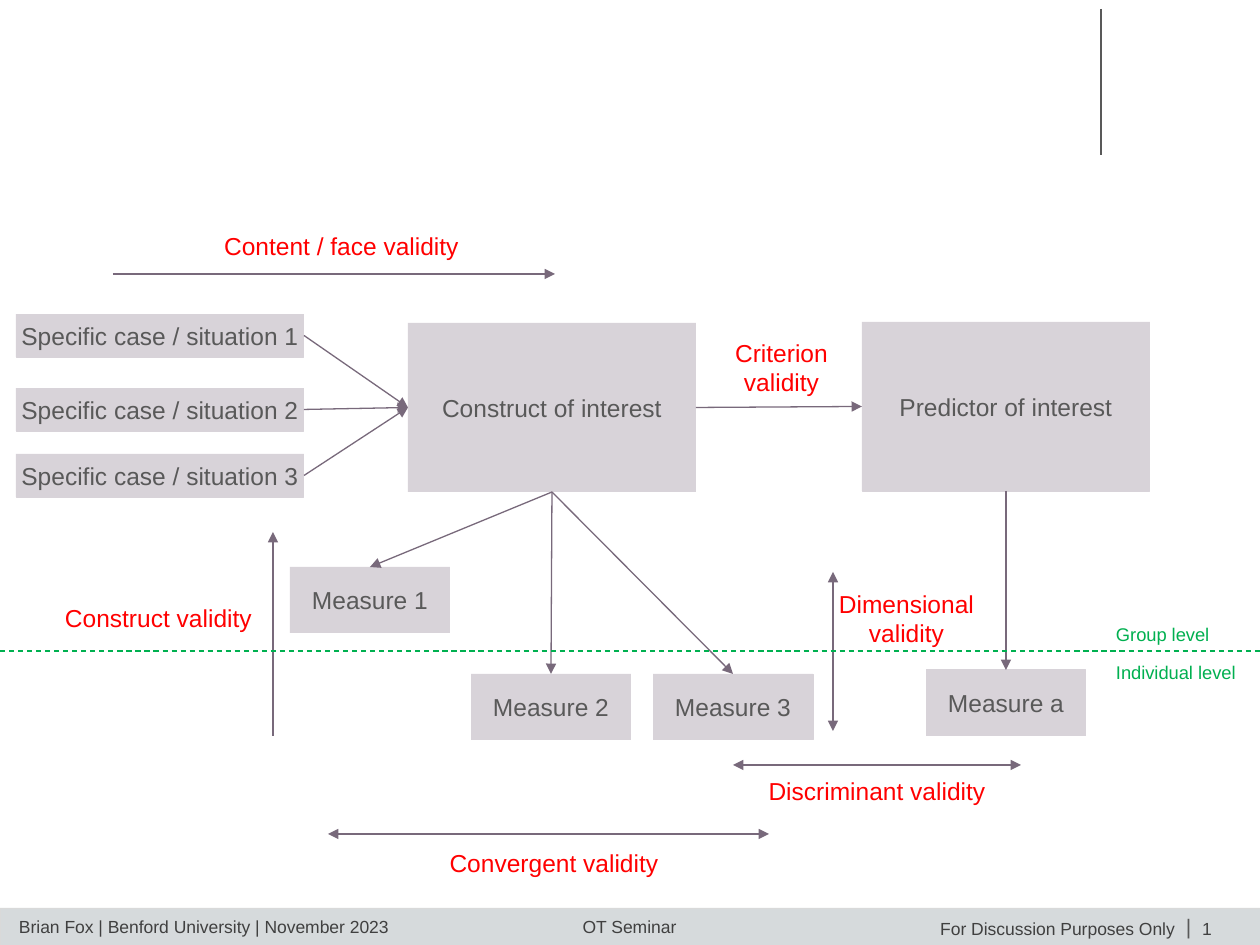
from dataclasses import dataclass
from lxml.etree import SubElement
from pptx import Presentation
from pptx.dml.color import RGBColor as RGB
from pptx.enum.dml import MSO_LINE as Dash
from pptx.enum.shapes import MSO_CONNECTOR as Conn, MSO_SHAPE as Shape
from pptx.enum.text import MSO_ANCHOR as Anchor, PP_ALIGN as Align
from pptx.oxml.ns import qn
from pptx.util import Emu, Pt

TOP, LEFT, BOTTOM, RIGHT = range(4)


@dataclass(frozen=True)
class Theme:
    font: str = "Arial"
    box: str = "D8D3D9"
    arrow: str = "78697B"
    ink: str = "595959"
    label: str = "FF0000"
    level: str = "00B050"
    bar: str = "D6DADC"
    edge: str = "D9D9D9"
    foot: str = "404040"
    body: float = 14
    small: float = 10.5
    tiny: float = 10
    mark: float = 12


def px(n):
    return Emu(round(n * 914400 / 126))


class Board:
    def __init__(self, slide, theme):
        self.slide = slide
        self.theme = theme

    def style(self, frame, text, size, color, align):
        frame.margin_left = frame.margin_right = 0
        frame.margin_top = frame.margin_bottom = 0
        frame.text = text
        for para in frame.paragraphs:
            para.alignment = align
            para.font.name = self.theme.font
            para.font.size = Pt(size)
            para.font.color.rgb = RGB.from_string(color)

    def rect(self, x, y, w, h, fill, edge, width):
        shape = self.slide.shapes.add_shape(Shape.RECTANGLE, *map(px, (x, y, w, h)))
        shape.shadow.inherit = False
        shape.fill.solid()
        shape.fill.fore_color.rgb = RGB.from_string(fill)
        shape.line.color.rgb = RGB.from_string(edge)
        shape.line.width = Pt(width)
        return shape

    def box(self, text, x, y, w, h):
        t = self.theme
        shape = self.rect(x, y, w, h, t.box, t.box, 0.5)
        frame = shape.text_frame
        self.style(frame, text, t.body, t.ink, Align.CENTER)
        frame.margin_left = frame.margin_right = px(5)
        frame.vertical_anchor = Anchor.MIDDLE
        frame.word_wrap = True
        return shape

    def text(self, text, x, y, w, h, size, color, align=Align.LEFT):
        frame = self.slide.shapes.add_textbox(*map(px, (x, y, w, h))).text_frame
        self.style(frame, text, size, color, align)
        frame.word_wrap = False

    def label(self, text, x, y, w, h=30):
        self.text(text, x, y, w, h, self.theme.body, self.theme.label, Align.CENTER)

    def line(self, x1, y1, x2, y2, color, head=False, tail=False, dash=None):
        link = self.slide.shapes.add_connector(Conn.STRAIGHT, *map(px, (x1, y1, x2, y2)))
        link.line.color.rgb = RGB.from_string(color)
        link.line.width = Pt(0.75)
        if dash:
            link.line.dash_style = dash
        props = link._element.spPr
        stroke = props.find(qn("a:ln"))
        for show, tag in ((head, "a:headEnd"), (tail, "a:tailEnd")):
            if show:
                SubElement(stroke, qn(tag), type="triangle")
        SubElement(props, qn("a:effectLst"))
        return link

    def arrow(self, x1, y1, x2, y2, head=False, tail=True):
        return self.line(x1, y1, x2, y2, self.theme.arrow, head, tail)

    def link(self, start, side, end, site):
        link = self.arrow(0, 0, 0, 0)
        link.begin_connect(start, side)
        link.end_connect(end, site)


def footer(board):
    t = board.theme
    board.rect(0, 908, 1260, 37, t.bar, t.edge, 0.25)
    board.text("1", 1202, 918, 21, 21, t.tiny, t.foot)
    board.text("|", 1186, 914, 5, 25, t.mark, t.ink, Align.RIGHT)
    board.line(1101, 9, 1101, 155, t.ink)
    board.text("Brian Fox | Benford University | November 2023",
               19, 916, 370, 21, t.tiny, t.foot)
    board.text("OT Seminar", 582, 916, 95, 21, t.tiny, t.foot, Align.CENTER)
    board.text("For Discussion Purposes Only",
               939, 918, 237, 21, t.tiny, t.foot, Align.CENTER)


def model(board):
    goal = board.box("Construct of interest", 408, 323, 288, 169)
    aim = board.box("Predictor of interest", 862, 322, 288, 169)
    board.link(goal, RIGHT, aim, LEFT)
    for num, y in enumerate((314, 388, 454), 1):
        case = board.box(f"Specific case / situation {num}", 16, y, 288, 43)
        board.link(case, RIGHT, goal, LEFT)
    for name, root, x, y in (("1", goal, 290, 567), ("2", goal, 471, 674),
                             ("3", goal, 653, 674), ("a", aim, 926, 670)):
        gauge = board.box(f"Measure {name}", x, y, 160, 66)
        board.link(root, BOTTOM, gauge, TOP)


def checks(board):
    t = board.theme
    board.arrow(113, 274, 555, 274)
    board.arrow(273, 532, 273, 736, head=True, tail=False)
    for ends in ((733, 765, 1021, 765), (328, 834, 769, 834), (833, 572, 833, 731)):
        board.arrow(*ends, head=True)
    board.line(0, 651, 1260, 651, t.level, dash=Dash.DASH)

    board.label("Content / face validity", 224, 231, 235)
    board.label("Criterion\nvalidity", 735, 338, 93, 59)
    board.label("Construct validity", 64, 603, 189)
    board.label("Dimensional\nvalidity", 812, 589, 189, 59)
    board.label("Discriminant validity", 768, 776, 218)
    board.label("Convergent validity", 449, 848, 210)
    board.text("Group level", 1116, 623, 95, 23, t.small, t.level)
    board.text("Individual level", 1116, 661, 122, 23, t.small, t.level)


def main():
    deck = Presentation()
    deck.slide_width, deck.slide_height = px(1260), px(945)
    board = Board(deck.slides.add_slide(deck.slide_layouts[6]), Theme())
    footer(board)
    model(board)
    checks(board)
    deck.save("out.pptx")


if __name__ == "__main__":
    main()
